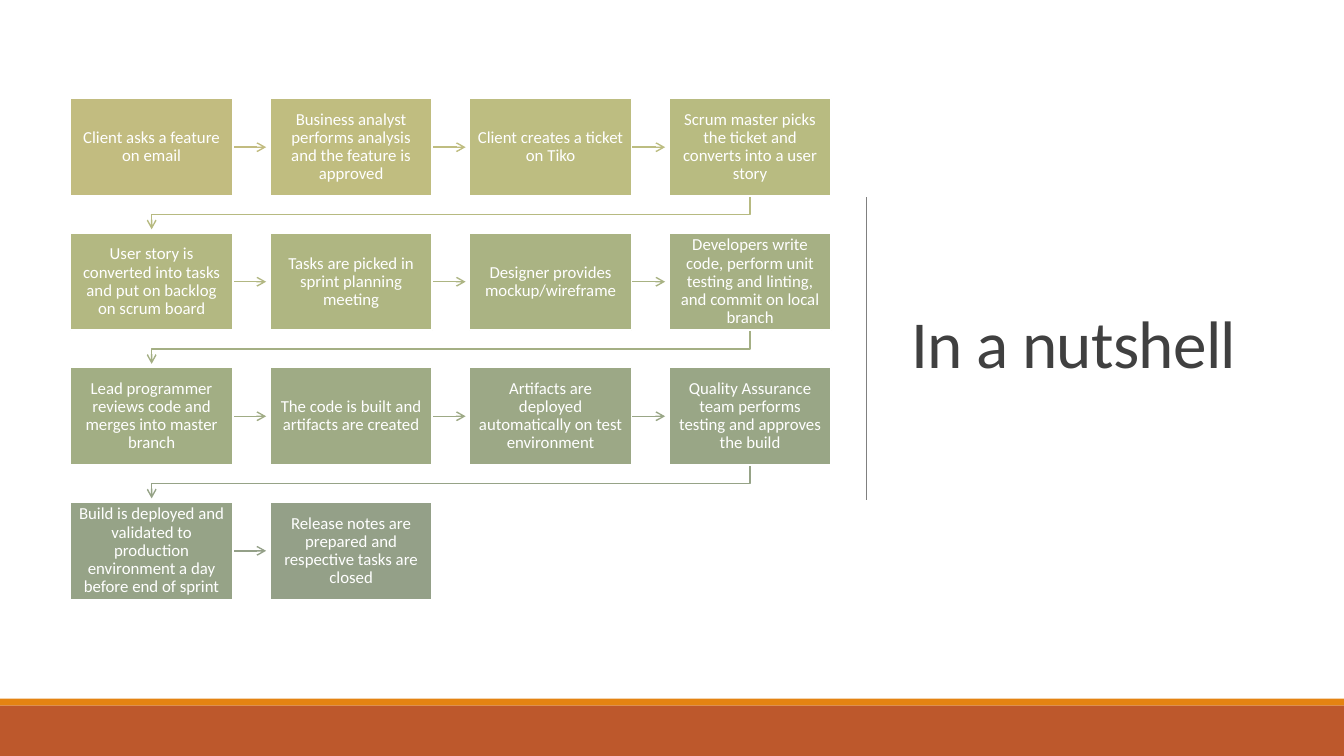
"""Build the "In a nutshell" slide: a four-column flow of delivery steps beside a title."""
from dataclasses import dataclass

from lxml.etree import SubElement
from pptx import Presentation
from pptx.dml.color import RGBColor as Rgb
from pptx.enum.shapes import MSO_CONNECTOR as Connector, MSO_SHAPE as Preset
from pptx.enum.text import MSO_ANCHOR as Anchor, PP_ALIGN as Align
from pptx.oxml.ns import qn
from pptx.util import Pt


@dataclass(frozen=True)
class Theme:
    font: str = "Calibri"
    title_size: int = 48
    step_size: int = 12
    title_ink: str = "404040"
    step_ink: str = "FFFFFF"
    step_edge: str = "FFFFFF"
    divider: str = "808080"
    accent_band: str = "E48312"
    footer_band: str = "BD582C"


def apply_format(target, values):
    for name, value in values.items():
        setattr(target, name, value)


def style_stroke(stroke, colour, width, arrow=False):
    stroke.line.color.rgb = Rgb.from_string(colour)
    stroke.line.width = Pt(width)
    properties = stroke._element.spPr
    if arrow:
        SubElement(properties.find(qn("a:ln")), qn("a:tailEnd"), type="arrow")
    SubElement(properties, qn("a:effectLst"))


theme = Theme()
COLUMNS = 4
LEFT, TOP = 50.4, 70.4
STEP_WIDTH, STEP_HEIGHT = 115.8, 69.5
COLUMN_PITCH, ROW_PITCH = 142.5, 96.1
ARROW_LENGTH = 23.9

steps = [
    ("Client asks a feature on email", "C2BC80", "C2BC80"),
    ("Business analyst performs analysis and the feature is approved", "C0BD80", "BFBD80"),
    ("Client creates a ticket on Tiko", "BDBD81", "BCBD81"),
    ("Scrum master picks the ticket and converts into a user story", "B8BB81", "B7BA81"),
    ("User story is converted into tasks and put on backlog on scrum board", "B3B882", "B2B782"),
    ("Tasks are picked in sprint planning meeting", "AFB682", "ADB583"),
    ("Designer provides mockup/wireframe", "AAB383", "A8B283"),
    ("Developers write code, perform unit testing and linting, and commit on local branch",
     "A6B084", "A4AF84"),
    ("Lead programmer reviews code and merges into master branch", "A2AE84", "A0AC85"),
    ("The code is built and artifacts are created", "9FAB85", "9DA985"),
    ("Artifacts are deployed automatically on test environment", "9CA886", "99A686"),
    ("Quality Assurance team performs testing and approves the build", "99A686", "96A387"),
    ("Build is deployed and validated to production environment a day before end of sprint",
     "96A387", "94A088"),
    ("Release notes are prepared and respective tasks are closed", "94A088", None),
]

step_frame = {
    "word_wrap": True, "vertical_anchor": Anchor.MIDDLE,
    "margin_left": Pt(5.6), "margin_right": Pt(5.6),
    "margin_top": Pt(5.6), "margin_bottom": Pt(5.6),
}
step_paragraph = {"alignment": Align.CENTER, "line_spacing": 0.9}
step_font = {"name": theme.font, "size": Pt(theme.step_size)}
title_frame = {"word_wrap": True, "vertical_anchor": Anchor.MIDDLE}
title_font = {"name": theme.font, "size": Pt(theme.title_size)}

deck = Presentation()
apply_format(deck, {"slide_width": Pt(960), "slide_height": Pt(540)})
slide = deck.slides.add_slide(deck.slide_layouts[6])
shapes = slide.shapes

for top, height, colour in [(499, 5, theme.accent_band), (504, 36, theme.footer_band)]:
    band = shapes.add_shape(Preset.RECTANGLE, 0, Pt(top), deck.slide_width, Pt(height))
    band.shadow.inherit = False
    band.fill.solid()
    band.fill.fore_color.rgb = Rgb.from_string(colour)
    band.line.fill.background()

title = shapes.add_textbox(Pt(643.7), Pt(49.7), Pt(265.7), Pt(398.2))
apply_format(title.text_frame, title_frame)
heading = title.text_frame.paragraphs[0]
heading.line_spacing = 0.85
heading_run = heading.add_run()
heading_run.text = "In a nutshell"
apply_format(heading_run.font, title_font)
heading_run.font.color.rgb = Rgb.from_string(theme.title_ink)
heading_run._r.get_or_add_rPr().set("spc", "-50")

divider = shapes.add_connector(Connector.STRAIGHT, Pt(618.7), Pt(141), Pt(618.7), Pt(357))
style_stroke(divider, theme.divider, 0.5)

for index, (wording, fill, arrow_colour) in enumerate(steps):
    row, column = divmod(index, COLUMNS)
    x = LEFT + column * COLUMN_PITCH
    y = TOP + row * ROW_PITCH

    if arrow_colour and column < COLUMNS - 1:
        start, middle = x + STEP_WIDTH, y + STEP_HEIGHT / 2
        arrow = shapes.add_connector(
            Connector.STRAIGHT, Pt(start), Pt(middle), Pt(start + ARROW_LENGTH), Pt(middle))
        style_stroke(arrow, arrow_colour, 1, arrow=True)
    elif arrow_colour:
        first_centre, last_centre = LEFT + STEP_WIDTH / 2, x + STEP_WIDTH / 2
        turn = y + (STEP_HEIGHT + ROW_PITCH) / 2
        route = shapes.build_freeform(Pt(last_centre), Pt(y + STEP_HEIGHT))
        route.add_line_segments(
            [(Pt(last_centre), Pt(turn)), (Pt(first_centre), Pt(turn)),
             (Pt(first_centre), Pt(y + STEP_HEIGHT + ARROW_LENGTH))], close=False)
        row_return = route.convert_to_shape()
        row_return.fill.background()
        style_stroke(row_return, arrow_colour, 1, arrow=True)

    step = shapes.add_shape(
        Preset.RECTANGLE, Pt(x), Pt(y), Pt(STEP_WIDTH), Pt(STEP_HEIGHT))
    step.fill.solid()
    step.fill.fore_color.rgb = Rgb.from_string(fill)
    style_stroke(step, theme.step_edge, 1.25)
    apply_format(step.text_frame, step_frame)
    caption = step.text_frame.paragraphs[0]
    apply_format(caption, step_paragraph)
    caption_run = caption.add_run()
    caption_run.text = wording
    apply_format(caption_run.font, step_font)
    caption_run.font.color.rgb = Rgb.from_string(theme.step_ink)

deck.save("out.pptx")
